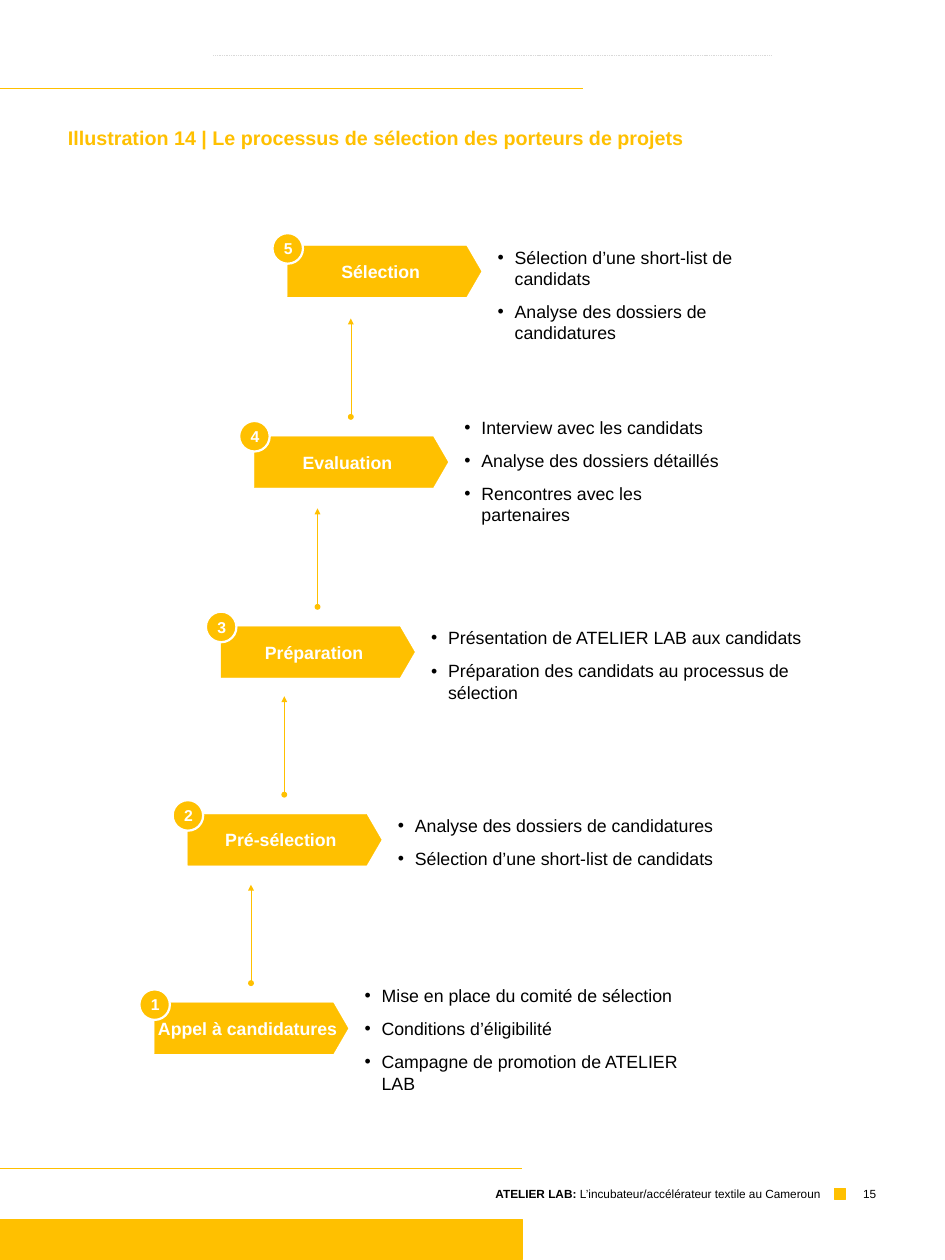
"""Build the slide showing the five-step selection process."""
from lxml import etree
from pptx import Presentation
from pptx.dml.color import RGBColor
from pptx.enum import dml, shapes, text
from pptx.oxml import ns
from pptx.util import Pt

COLORS = {"gold": "FFC000", "white": "FFFFFF", "black": "000000", "grey": "D9D9D9"}
FONT = "Arial"
TITLE = "Illustration 14 | Le processus de sélection des porteurs de projets"
FOOTER = [("ATELIER LAB: ", True), ("L’incubateur/accélérateur textile au Cameroun", False)]
PAGE = "15"

# name, plate top, badge top, bullets top, bullets width, bullets
STEPS = [
    ("Appel à candidatures", 1018.8, 1005.1, 997.2, 365.8, [
        "Mise en place du comité de sélection",
        "Conditions d’éligibilité",
        "Campagne de promotion de ATELIER LAB"]),
    ("Pré-sélection", 827.3, 812.9, 824.4, 352.8, [
        "Analyse des dossiers de candidatures",
        "Sélection d’une short-list de candidats"]),
    ("Préparation", 636.5, 621.4, 633.6, 448.6, [
        "Présentation de ATELIER LAB aux candidats",
        "Préparation des candidats au processus de sélection"]),
    ("Evaluation", 443.5, 427.7, 419.8, 287.3, [
        "Interview avec les candidats",
        "Analyse des dossiers détaillés",
        "Rencontres avec les partenaires"]),
    ("Sélection", 249.8, 236.9, 247, 333.4, [
        "Sélection d’une short-list de candidats",
        "Analyse des dossiers de candidatures"]),
]
FIRST_LEFT, STEP_SHIFT = 157, 33.8
PLATE_W, PLATE_H = 196.6, 51.8
BADGE, BADGE_SHIFT = 31, 15.4
BULLETS_SHIFT, BULLET_INDENT = 206.3, 17.3
ARROW_SHIFT, ARROW_GAP, ARROW_LENGTH = 98, 20, 100

ALIGN = text.PP_ALIGN
PRESET = shapes.MSO_SHAPE


def rgb(name):
    return RGBColor.from_string(COLORS[name])


def add_run(p, words, size, color, bold=False):
    r = p.add_run()
    r.text = words
    r.font.name, r.font.size, r.font.bold = FONT, Pt(size), bold
    r.font.color.rgb = rgb(color)


def add_shape(s, preset, box, line="gold", width=1):
    sp = s.shapes.add_shape(preset, *map(Pt, box))
    sp.shadow.inherit = False
    sp.fill.solid()
    sp.fill.fore_color.rgb = rgb("gold")
    sp.line.color.rgb = rgb(line)
    sp.line.width = Pt(width)
    return sp


def add_label(sp, words, size, wrap):
    tf = sp.text_frame
    tf.word_wrap = wrap
    tf.vertical_anchor = text.MSO_ANCHOR.MIDDLE
    tf.paragraphs[0].alignment = ALIGN.CENTER
    add_run(tf.paragraphs[0], words, size, "white", True)


def add_text(s, box, align, wrap=True):
    tf = s.shapes.add_textbox(*map(Pt, box)).text_frame
    tf.word_wrap = wrap
    tf.paragraphs[0].alignment = align
    return tf


def add_line(s, start, end, color="gold", width=0.5):
    line = s.shapes.add_connector(shapes.MSO_CONNECTOR.STRAIGHT, *map(Pt, start + end))
    line.line.color.rgb = rgb(color)
    line.line.width = Pt(width)
    etree.SubElement(line._element.spPr, ns.qn("a:effectLst"))
    return line


def add_bullets(s, box, items):
    tf = add_text(s, box, ALIGN.LEFT)
    for i, item in enumerate(items):
        p = tf.add_paragraph() if i else tf.paragraphs[0]
        pPr = p._p.get_or_add_pPr()
        pPr.set("marL", str(Pt(BULLET_INDENT)))
        pPr.set("indent", str(-Pt(BULLET_INDENT)))
        etree.SubElement(pPr, ns.qn("a:buFont")).set("typeface", FONT)
        etree.SubElement(pPr, ns.qn("a:buChar")).set("char", "•")
        if i:
            p.space_before = Pt(12)
        add_run(p, item, 18, "black")


def add_arrow(s, x, bottom):
    arrow = add_line(s, (x, bottom), (x, bottom - ARROW_LENGTH))
    ln = arrow.line._get_or_add_ln()
    for tag, kind in (("a:headEnd", "oval"), ("a:tailEnd", "triangle")):
        etree.SubElement(ln, ns.qn(tag)).set("type", kind)


def add_step(s, i, step):
    name, top, badge_top, bullets_top, bullets_w, items = step
    left = FIRST_LEFT + STEP_SHIFT * i
    plate = add_shape(s, PRESET.PENTAGON, (left, top, PLATE_W, PLATE_H), width=0.25)
    plate.adjustments[0] = 0.29
    add_label(plate, name, 18, False)
    add_bullets(s, (left + BULLETS_SHIFT, bullets_top, bullets_w, 30 * len(items)), items)
    badge = add_shape(s, PRESET.OVAL, (left - BADGE_SHIFT, badge_top, BADGE, BADGE),
                      "white", 2.25)
    add_label(badge, str(i + 1), 16, True)
    if i < len(STEPS) - 1:
        add_arrow(s, left + ARROW_SHIFT, top - ARROW_GAP)


def add_frame(s):
    add_shape(s, PRESET.RECTANGLE, (0, 1238.4, 530.6, 41))
    add_shape(s, PRESET.RECTANGLE, (848.2, 1207.4, 10.8, 10.8))
    add_line(s, (0, 1187.3), (530.6, 1187.3))
    add_line(s, (0, 89.3), (591.8, 89.3))
    dashed = add_line(s, (216.7, 56.2), (784.1, 56.2), "grey", 0.25)
    dashed.line.dash_style = dml.MSO_LINE.DASH
    footer = add_text(s, (493.2, 1202.4, 347.8, 21.6), ALIGN.RIGHT, False)
    for words, bold in FOOTER:
        add_run(footer.paragraphs[0], words, 12, "black", bold)
    page = add_text(s, (859, 1202.4, 49, 21.6), ALIGN.CENTER)
    add_run(page.paragraphs[0], PAGE, 12, "black")
    title = add_text(s, (61.9, 124.6, 829.4, 31.7), ALIGN.JUSTIFY)
    add_run(title.paragraphs[0], TITLE, 20, "gold", True)


def main():
    prs = Presentation()
    prs.slide_width, prs.slide_height = Pt(960), Pt(1280)
    s = prs.slides.add_slide(prs.slide_layouts[6])
    add_frame(s)
    for i, step in enumerate(STEPS):
        add_step(s, i, step)
    prs.save("out.pptx")


if __name__ == "__main__":
    main()
